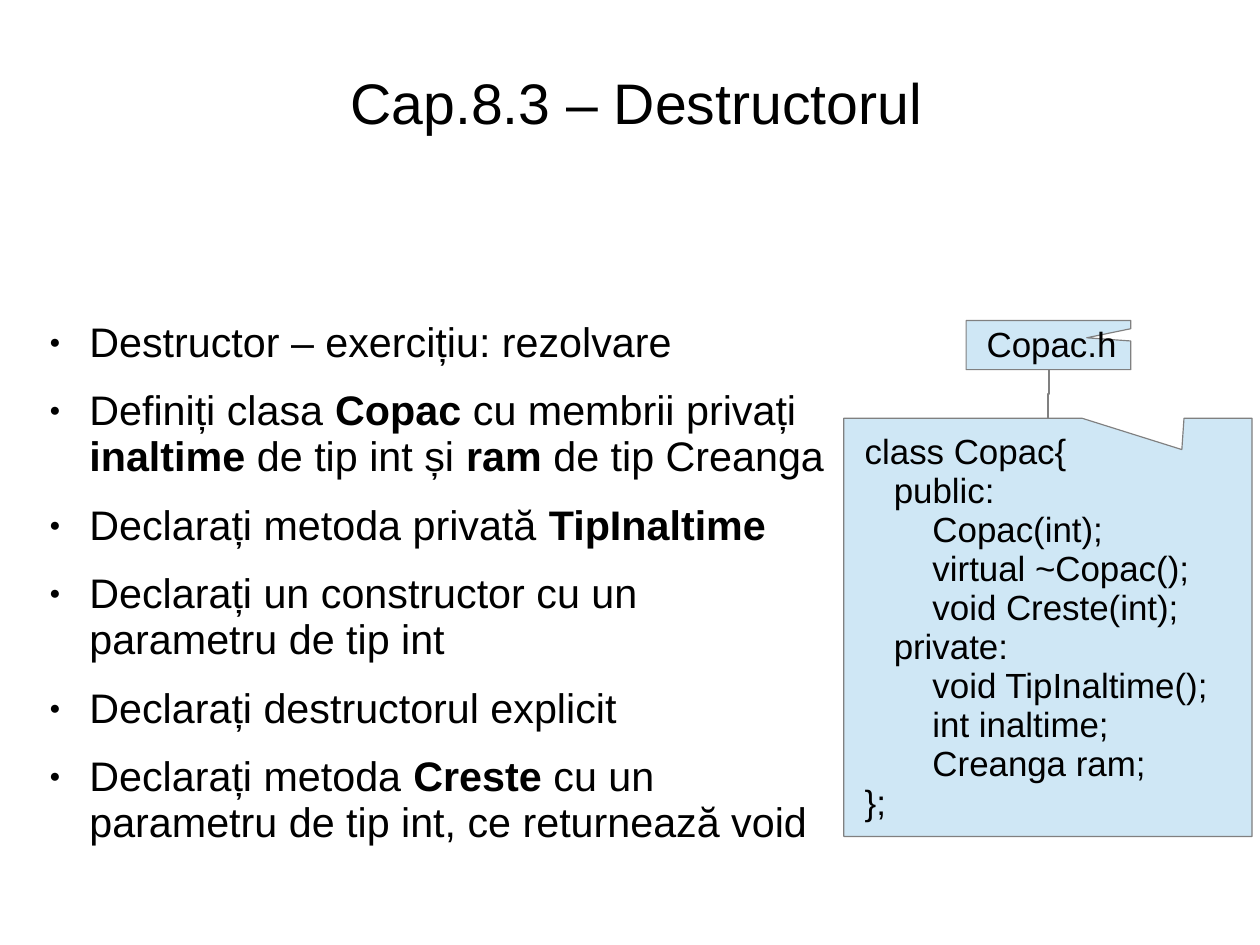
import pptx
import pptx.dml.color
import pptx.enum.shapes
import pptx.enum.text
import pptx.oxml.ns
import pptx.util
from lxml import etree

BLACK = pptx.dml.color.RGBColor(0x00, 0x00, 0x00)
GRAY = pptx.dml.color.RGBColor(0x80, 0x80, 0x80)
SKY = pptx.dml.color.RGBColor(0xCF, 0xE7, 0xF5)
FONT = "Arial"
LINE_SPACING = 0.93
W, H = pptx.util.Emu(10080625), pptx.util.Emu(7559675)

TITLE = "Cap.8.3 – Destructorul"
TASKS = [
    "Destructor – exercițiu: rezolvare",
    "Definiți clasa *Copac* cu membrii privați *inaltime* de tip int și *ram* de tip Creanga",
    "Declarați metoda privată *TipInaltime*",
    "Declarați un constructor cu un parametru de tip int",
    "Declarați destructorul explicit",
    "Declarați metoda *Creste* cu un parametru de tip int, ce returnează void",
]
CODE = """ class Copac{
    public:
        Copac(int);
        virtual ~Copac();
        void Creste(int);
    private:
        void TipInaltime();
        int inaltime;
        Creanga ram;
 };"""


def share(left, top, width, height):
    """Turn percentages of the slide's size into a box."""
    return [int(v * side / 100) for v, side in zip((left, top, width, height), (W, H, W, H))]


def place(sp, box):
    """Move a shape to a box."""
    sp.left, sp.top, sp.width, sp.height = box


def set_frame(tf, anchor, insets):
    """Set wrapping, anchor and insets in inches of a text frame."""
    tf.word_wrap = True
    tf.auto_size = pptx.enum.text.MSO_AUTO_SIZE.NONE
    tf.vertical_anchor = anchor
    tf.margin_left, tf.margin_top, tf.margin_right, tf.margin_bottom = map(pptx.util.Inches, insets)


def format_paragraph(p, size, align=pptx.enum.text.PP_ALIGN.LEFT, after=0):
    """Set spacing, alignment and font of a paragraph."""
    p.alignment = align
    p.line_spacing = LINE_SPACING
    p.space_before = pptx.util.Pt(0)
    p.space_after = pptx.util.Pt(after)
    for r in p.runs:
        r.font.name = FONT
        r.font.size = pptx.util.Pt(size)
        r.font.color.rgb = BLACK


def add_bullet(p):
    """Give a paragraph a small round bullet and a hanging indent."""
    pPr = p._p.get_or_add_pPr()
    pPr.set("marL", str(pptx.util.Inches(0.47)))
    pPr.set("indent", str(pptx.util.Inches(-0.35)))
    color = etree.SubElement(pPr, pptx.oxml.ns.qn("a:buClr"))
    etree.SubElement(color, pptx.oxml.ns.qn("a:srgbClr"), val=str(BLACK))
    etree.SubElement(pPr, pptx.oxml.ns.qn("a:buSzPct"), val="45000")
    etree.SubElement(pPr, pptx.oxml.ns.qn("a:buFont"), typeface=FONT)
    etree.SubElement(pPr, pptx.oxml.ns.qn("a:buChar"), char="●")


def fill_title(sp, box):
    """Write the centred title."""
    place(sp, box)
    tf = sp.text_frame
    set_frame(tf, pptx.enum.text.MSO_ANCHOR.MIDDLE, (0, 0.03, 0, 0))
    tf.text = TITLE
    format_paragraph(tf.paragraphs[0], 36, pptx.enum.text.PP_ALIGN.CENTER)


def fill_tasks(sp, box):
    """Write the bulleted tasks, with starred words in bold."""
    place(sp, box)
    tf = sp.text_frame
    set_frame(tf, pptx.enum.text.MSO_ANCHOR.TOP, (0, 0.03, 0, 0))
    for i, task in enumerate(TASKS):
        p = tf.paragraphs[0] if i == 0 else tf.add_paragraph()
        add_bullet(p)
        for j, part in enumerate(task.split("*")):
            if part:
                r = p.add_run()
                r.text = part
                r.font.bold = j % 2 == 1
        format_paragraph(p, 26, after=14.1)


def add_callout(s, box, text, tip, left_inset, right_inset):
    """Add a blue callout with left-aligned text."""
    sp = s.shapes.add_shape(pptx.enum.shapes.MSO_SHAPE.RECTANGULAR_CALLOUT, *box)
    sp.adjustments[0], sp.adjustments[1] = tip
    sp.shadow.inherit = False
    sp.fill.solid()
    sp.fill.fore_color.rgb = SKY
    sp.line.color.rgb = GRAY
    sp.line.width = pptx.util.Pt(0.75)
    tf = sp.text_frame
    set_frame(tf, pptx.enum.text.MSO_ANCHOR.MIDDLE, (left_inset, 0.07, right_inset, 0.05))
    tf.text = text
    for p in tf.paragraphs:
        format_paragraph(p, 22)


def add_link(s, x, top, bottom):
    """Add the upright elbow connector between the two callouts."""
    half, middle = (bottom - top) // 2, (top + bottom) // 2
    jog = pptx.util.Inches(0.01)
    link = s.shapes.add_connector(pptx.enum.shapes.MSO_CONNECTOR.ELBOW,
                                  x - half, middle - jog // 2, x + half, middle + jog // 2)
    link.line.color.rgb = GRAY
    link.line.width = pptx.util.Pt(0.75)
    spPr = link._element.spPr
    spPr.find(pptx.oxml.ns.qn("a:xfrm")).set("rot", "5400000")
    etree.SubElement(spPr, pptx.oxml.ns.qn("a:effectLst"))


def add_header_file(s, label_box, code_box):
    """Add the file label, its link and the class code."""
    add_link(s, label_box[0] + label_box[2] // 2, label_box[1] + label_box[3], code_box[1])
    add_callout(s, label_box, "Copac.h", (0.232, -0.148), 0.18, 0)
    add_callout(s, code_box, CODE, (0.328, -0.425), 0.1, 0.1)


def main():
    """Build and save the slide."""
    prs = pptx.Presentation()
    prs.slide_width, prs.slide_height = W, H
    s = prs.slides.add_slide(prs.slide_layouts[1])
    fill_title(s.shapes.title, share(3.27, 3.45, 94.46, 14.99))
    fill_tasks(s.placeholders[1], share(2.83, 33.56, 62.89, 61.19))
    add_header_file(s, share(76.68, 33.92, 13.07, 5.2), share(66.97, 44.26, 32.4, 44.26))
    prs.save("out.pptx")


if __name__ == "__main__":
    main()
